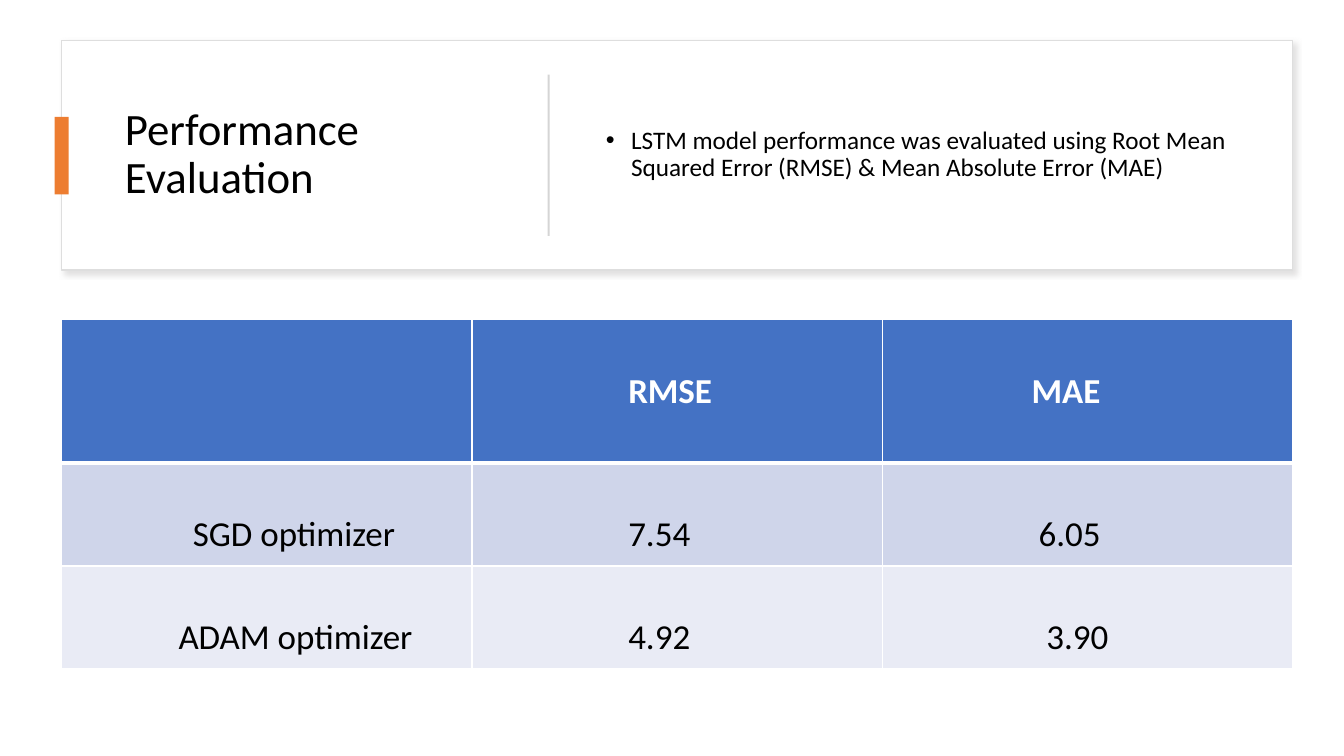
from collections import namedtuple

from lxml import etree
from pptx import Presentation
from pptx.dml.color import RGBColor
from pptx.enum.shapes import MSO_SHAPE
from pptx.enum.text import MSO_ANCHOR
from pptx.oxml.ns import qn
from pptx.util import Inches, Pt

RECTANGLE = MSO_SHAPE.RECTANGLE
MIDDLE, BOTTOM = MSO_ANCHOR.MIDDLE, MSO_ANCHOR.BOTTOM

WHITE = RGBColor(0xFF, 0xFF, 0xFF)
BLACK = RGBColor(0x00, 0x00, 0x00)
OUTLINE = RGBColor(0xDE, 0xDE, 0xDE)
SHADOW = RGBColor(0xC5, 0xC3, 0xC3)
DIVIDER = RGBColor(0xD5, 0xD5, 0xD5)
ORANGE = RGBColor(0xED, 0x7D, 0x31)
BLUE = RGBColor(0x44, 0x72, 0xC4)
BAND_DARK = RGBColor(0xCF, 0xD5, 0xEA)
BAND_LIGHT = RGBColor(0xE9, 0xEB, 0xF5)
FONT = "Calibri"

Box = namedtuple("Box", "left top width height")

# Each cell: wording and its left inset as a percentage of the column width.
ROWS = [
    (BLUE, [("", 3.4), ("RMSE", 38.1), ("MAE", 36.4)]),
    (BAND_DARK, [("SGD optimizer", 32), ("7.54", 38.1), ("6.05", 38.1)]),
    (BAND_LIGHT, [("ADAM optimizer", 28.5), ("4.92", 38.1), ("3.90", 40)]),
]
ROW_SHARES = [41.2, 29.4, 29.4]


def part(box, left, top, width, height):
    """Return the part of a box given in percentages of its size."""
    return Box(int(box.left + box.width * left / 100),
               int(box.top + box.height * top / 100),
               int(box.width * width / 100),
               int(box.height * height / 100))


def add_block(page, box, color):
    """Add a plain filled rectangle without outline or shadow."""
    block = page.shapes.add_shape(RECTANGLE, *box)
    block.shadow.inherit = False
    block.fill.solid()
    block.fill.fore_color.rgb = color
    block.line.fill.background()
    return block


def add_shadow(shape):
    """Give a shape a soft shadow towards the lower right."""
    effects = shape._element.spPr.find(qn("a:effectLst"))
    outer = etree.SubElement(effects, qn("a:outerShdw"), blurRad=str(Pt(4)),
                             dist=str(Pt(3)), dir=str(45 * 60000))
    color = etree.SubElement(outer, qn("a:srgbClr"), val=str(SHADOW))
    etree.SubElement(color, qn("a:alpha"), val="50000")


def write(frame, text, size, color, bold=False):
    """Set the text of a frame and format it; return its paragraph."""
    frame.text = text
    frame.word_wrap = True
    para = frame.paragraphs[0]
    para.font.size = Pt(size)
    for span in para.runs:
        span.font.name = FONT
        span.font.size = Pt(size)
        span.font.bold = bold
        span.font.color.rgb = color
    return para


def add_text(page, box, text, size):
    """Add a vertically centred text box; return its paragraph."""
    frame = page.shapes.add_textbox(*box).text_frame
    frame.vertical_anchor = MIDDLE
    para = write(frame, text, size, BLACK)
    para.line_spacing = 0.9
    return para


def add_bullet(para):
    """Turn a paragraph into a bullet with a hanging indent."""
    props = para._p.get_or_add_pPr()
    props.set("marL", str(Inches(0.31)))
    props.set("indent", str(Inches(-0.25)))
    etree.SubElement(props, qn("a:buFont"), typeface="Arial")
    etree.SubElement(props, qn("a:buChar"), char="\u2022")


def add_header(page, box):
    """Add the card with the title, divider and statement."""
    card = add_block(page, box, WHITE)
    card.line.color.rgb = OUTLINE
    card.line.width = Pt(1)
    add_shadow(card)
    add_text(page, part(box, 4.34, 10.53, 31.86, 78.95),
             "Performance Evaluation", 32)
    add_block(page, part(box, -0.57, 33.33, 1.15, 33.77), ORANGE)
    add_block(page, part(box, 39.48, 14.91, 0.16, 70.18), DIVIDER)
    statement = add_text(
        page, part(box, 42.92, 10.53, 53.73, 78.95),
        "LSTM model performance was evaluated using Root Mean Squared Error "
        "(RMSE) & Mean Absolute Error (MAE)", 18)
    statement.space_after = Pt(6)
    add_bullet(statement)


def add_borders(cell, top, bottom):
    """Draw white borders around a cell, with widths in points."""
    props = cell._tc.get_or_add_tcPr()
    widths = {"a:lnL": 1, "a:lnR": 1, "a:lnT": top, "a:lnB": bottom}
    for place, (tag, width) in enumerate(widths.items()):
        line = etree.Element(qn(tag), w=str(Pt(width)))
        fill = etree.SubElement(line, qn("a:solidFill"))
        etree.SubElement(fill, qn("a:srgbClr"), val=str(WHITE))
        props.insert(place, line)


def add_results(page, box):
    """Add the table of errors for each optimizer."""
    table = page.shapes.add_table(len(ROWS), len(ROWS[0][1]), *box).table
    for row, share in zip(table.rows, ROW_SHARES):
        row.height = int(box.height * share / 100)
    for index, (color, entries) in enumerate(ROWS):
        header = index == 0
        for column, (text, inset) in enumerate(entries):
            cell = table.cell(index, column)
            cell.fill.solid()
            cell.fill.fore_color.rgb = color
            cell.margin_left = int(table.columns[column].width * inset / 100)
            cell.margin_right = Inches(0.14)
            cell.margin_top = Inches(0.07)
            cell.margin_bottom = Inches(0.07 if header else 0.1)
            cell.vertical_anchor = MIDDLE if header else BOTTOM
            write(cell.text_frame, text, 25, WHITE if header else BLACK, header)
            add_borders(cell, 3 if index == 1 else 1, 3 if header else 1)


def main():
    """Build the slide and save it."""
    deck = Presentation()
    deck.slide_width, deck.slide_height = Inches(13.33), Inches(7.5)
    page = deck.slides.add_slide(deck.slide_layouts[6])
    whole = Box(0, 0, deck.slide_width, deck.slide_height)
    add_header(page, part(whole, 4.58, 5.33, 91.6, 30.4))
    add_results(page, part(whole, 4.58, 42.2, 91.6, 46.27))
    deck.save("out.pptx")


main()
